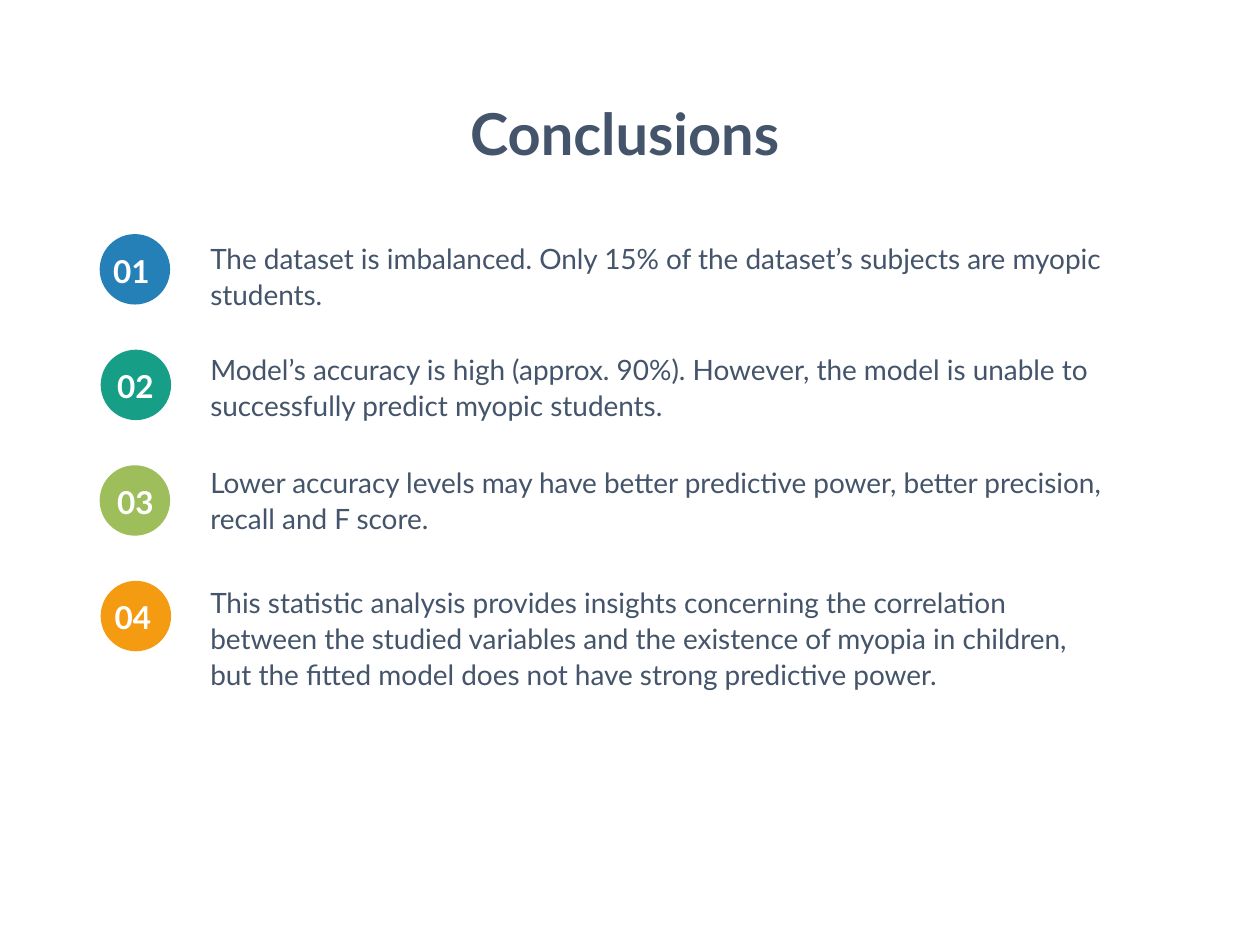
from pptx import Presentation
from pptx.dml.color import RGBColor
from pptx.enum.shapes import MSO_SHAPE
from pptx.enum.text import MSO_AUTO_SIZE, PP_ALIGN
from pptx.util import Cm, Pt

COLOURS = {
    "slate": "44546A",
    "white": "FFFFFF",
    "blue": "2580B7",
    "teal": "179E86",
    "green": "9EBE5B",
    "orange": "F59B11",
}

TITLE = {"size": Pt(33), "bold": True}
NUMBER = {"size": Pt(18), "bold": True}
BODY = {"size": Pt(16), "bold": False}
BODY_SPACING = {"line_spacing": 1.07, "space_after": Pt(8)}

DIAMETER = 1.42
FIRST_TOP, PITCH = 4.72, 2.33
BODY_LEFT = 3.99

# Colour, circle left, number left, number alignment, text top, width, height, text
CONCLUSIONS = [
    ("blue", 2.01, 2.03, PP_ALIGN.RIGHT, 4.7, 18.92, 2.59,
     "The dataset is imbalanced. Only 15% of the dataset’s subjects are "
     "myopic students."),
    ("teal", 2.03, 2.11, PP_ALIGN.CENTER, 6.93, 20.37, 1.73,
     "Model’s accuracy is high (approx. 90%). However, the model is unable "
     "to successfully predict myopic students."),
    ("green", 2.01, 2.11, PP_ALIGN.CENTER, 9.22, 18.92, 1.73,
     "Lower accuracy levels may have better predictive power, better "
     "precision, recall and F score."),
    ("orange", 2.03, 2.06, PP_ALIGN.RIGHT, 11.63, 17.83, 2.46,
     "This statistic analysis provides insights concerning the correlation "
     "between the studied variables and the existence of myopia in children, "
     "but the fitted model does not have strong predictive power."),
]


def colour(name):
    return RGBColor.from_string(COLOURS[name])


def set_all(target, values):
    for name, value in values.items():
        setattr(target, name, value)


def add_text(shapes, place, text, font, ink, paragraph, wrap=False):
    box = shapes.add_textbox(*(Cm(length) for length in place))
    frame = box.text_frame
    set_all(frame, {"word_wrap": wrap,
                    "auto_size": MSO_AUTO_SIZE.SHAPE_TO_FIT_TEXT})
    para = frame.paragraphs[0]
    set_all(para, paragraph)
    span = para.add_run()
    span.text = text
    set_all(span.font, {"name": "Lato", **font})
    span.font.color.rgb = colour(ink)


def add_badge(page, number, fill, left, top, number_left, alignment):
    badge = page.shapes.add_group_shape()
    circle = badge.shapes.add_shape(
        MSO_SHAPE.OVAL, Cm(left), Cm(top), Cm(DIAMETER), Cm(DIAMETER))
    circle.shadow.inherit = False
    circle.fill.solid()
    circle.fill.fore_color.rgb = colour(fill)
    circle.line.fill.background()
    add_text(badge.shapes, (number_left, top + 0.23, 1.24, 1.02),
             f"{number:02d}", NUMBER, "white", {"alignment": alignment})


def main():
    deck = Presentation()
    set_all(deck, {"slide_width": Cm(25.4), "slide_height": Cm(19.05)})
    page = deck.slides.add_slide(deck.slide_layouts[6])

    # Title
    add_text(page.shapes, (9.14, 1.85, 6.91, 1.68), "Conclusions ", TITLE,
             "slate", {"alignment": PP_ALIGN.CENTER})

    # Numbered conclusions
    for index, row in enumerate(CONCLUSIONS):
        fill, left, number_left, alignment, text_top, width, height, text = row
        add_badge(page, index + 1, fill, left, FIRST_TOP + index * PITCH,
                  number_left, alignment)
        add_text(page.shapes, (BODY_LEFT, text_top, width, height), text,
                 BODY, "slate", BODY_SPACING, wrap=True)

    deck.save("out.pptx")


if __name__ == "__main__":
    main()
